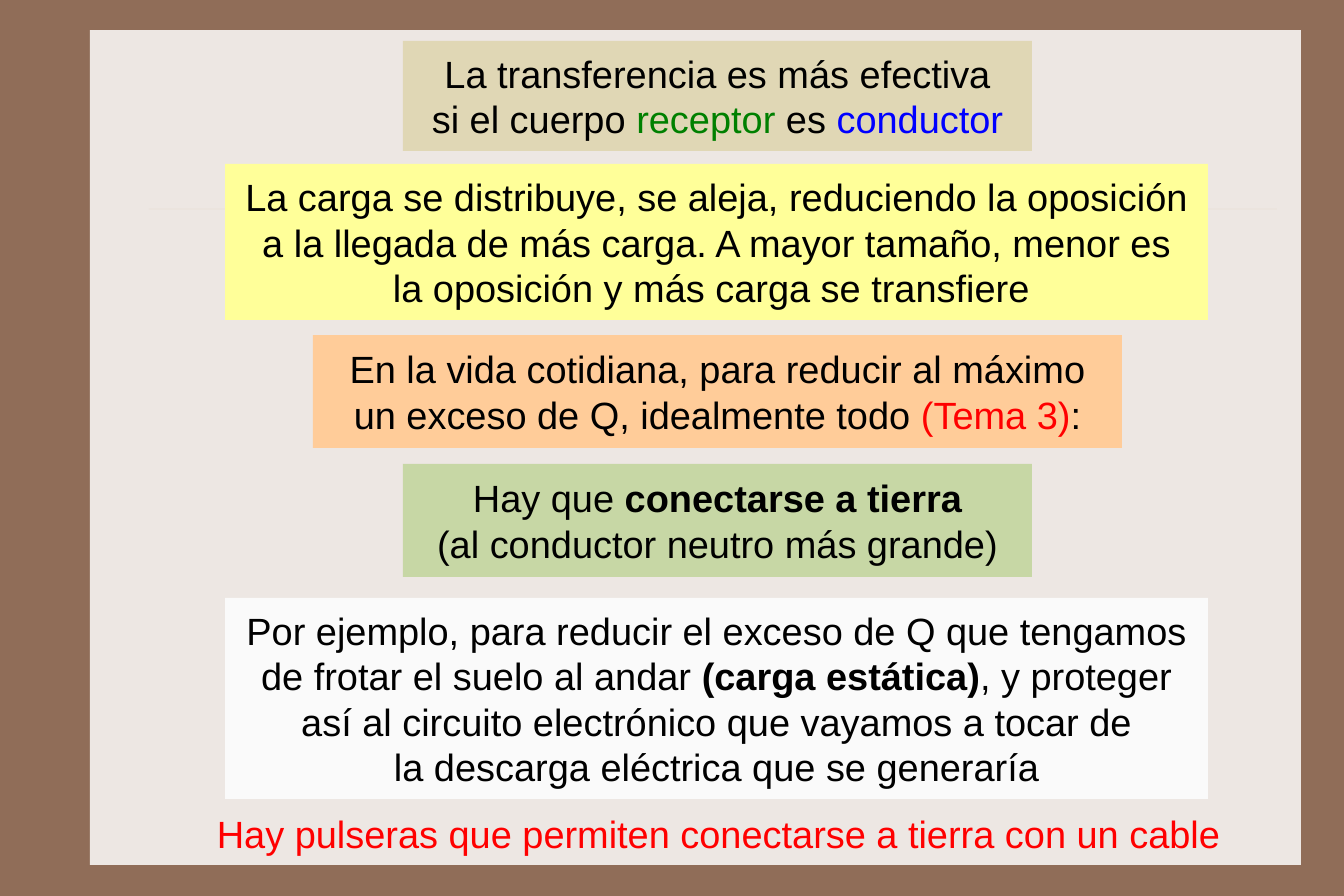
from lxml import etree
from pptx import Presentation
from pptx.dml.color import RGBColor
from pptx.enum.shapes import MSO_CONNECTOR, MSO_SHAPE
from pptx.enum.text import MSO_ANCHOR, PP_ALIGN
from pptx.oxml.ns import qn
from pptx.util import Pt

RECTANGLE = MSO_SHAPE.RECTANGLE
STRAIGHT = MSO_CONNECTOR.STRAIGHT
MIDDLE = MSO_ANCHOR.MIDDLE
CENTER = PP_ALIGN.CENTER

EMU_PER_PX = 10801350 / 1344
COLORS = {
    "frame": "906D58", "panel": "EDE7E3", "rule": "CBBD83",
    "sand": "E0D7B5", "yellow": "FFFF99", "orange": "FFCC99",
    "sage": "C7D7A5", "white": "FAFAFA",
    "black": "000000", "red": "FF0000", "green": "008000", "blue": "0000FF",
}


def px(*lengths):
    return [round(length * EMU_PER_PX) for length in lengths]


def rgb(name):
    return RGBColor.from_string(COLORS[name])


prs = Presentation()
prs.slide_width, prs.slide_height = px(1344, 896)
slide = prs.slides.add_slide(prs.slide_layouts[6])

# Background, panel and faint rule
slide.background.fill.solid()
slide.background.fill.fore_color.rgb = rgb("frame")

panel = slide.shapes.add_shape(RECTANGLE, *px(90, 30, 1211, 835))
panel.shadow.inherit = False
panel.fill.solid()
panel.fill.fore_color.rgb = rgb("panel")
panel.line.fill.background()

rule = slide.shapes.add_connector(STRAIGHT, *px(149, 209, 1277, 209))
rule.line.color.rgb = rgb("rule")
rule.line.width = Pt(0.25)
rule_color = rule._element.spPr.find(".//" + qn("a:srgbClr"))
etree.SubElement(rule_color, qn("a:alpha"), val="35000")
etree.SubElement(rule._element.spPr, qn("a:effectLst"))

# Statements: place, fill, text colour, paragraphs of (text, emphasis) runs
statements = [
    ((225, 598, 983, 201), "white", "black", [
        [("Por ejemplo, para reducir el exceso de Q que tengamos "
          "de frotar el suelo al andar ", None),
         ("(carga estática)", "bold"),
         (", y proteger así al circuito electrónico que vayamos a tocar de",
          None)],
        [("la descarga eléctrica que se generaría", None)],
    ]),
    ((313, 335, 809, 113), "orange", "black", [
        [("En la vida cotidiana, para reducir al máximo", None)],
        [("un exceso de Q, idealmente todo ", None),
         ("(Tema 3)", "red"), (":", None)],
    ]),
    ((196, 801, 1045, 64), None, "red", [
        [("Hay pulseras que permiten conectarse a tierra con un cable", None)],
    ]),
    ((403, 41, 629, 110), "sand", "black", [
        [("La transferencia es más efectiva", None)],
        [("si el cuerpo ", None), ("receptor", "green"),
         (" es ", None), ("conductor", "blue")],
    ]),
    ((225, 164, 983, 156), "yellow", "black", [
        [("La carga se distribuye, se aleja, reduciendo la oposición "
          "a la llegada de más carga. A mayor tamaño, menor es", None)],
        [("la oposición y más carga se transfiere ", None)],
    ]),
    ((403, 464, 629, 113), "sage", "black", [
        [("Hay que ", None), ("conectarse a tierra", "bold")],
        [("(al conductor neutro más grande)", None)],
    ]),
]

for place, fill, text_color, paragraphs in statements:
    if fill:
        box = slide.shapes.add_shape(RECTANGLE, *px(*place))
        box.shadow.inherit = False
        box.fill.solid()
        box.fill.fore_color.rgb = rgb(fill)
        box.line.fill.background()
    else:
        box = slide.shapes.add_textbox(*px(*place))

    frame = box.text_frame
    frame.word_wrap = True
    frame.vertical_anchor = MIDDLE
    frame.margin_left, frame.margin_right = px(14, 14)
    frame.margin_top, frame.margin_bottom = px(9, 9)

    for number, runs in enumerate(paragraphs):
        paragraph = frame.add_paragraph() if number else frame.paragraphs[0]
        paragraph.alignment = CENTER
        paragraph.font.name = "Arial"
        paragraph.font.size = Pt(24)
        paragraph.font.color.rgb = rgb(text_color)
        for text, emphasis in runs:
            run = paragraph.add_run()
            run.text = text
            if emphasis == "bold":
                run.font.bold = True
            elif emphasis:
                run.font.color.rgb = rgb(emphasis)

prs.save("out.pptx")
